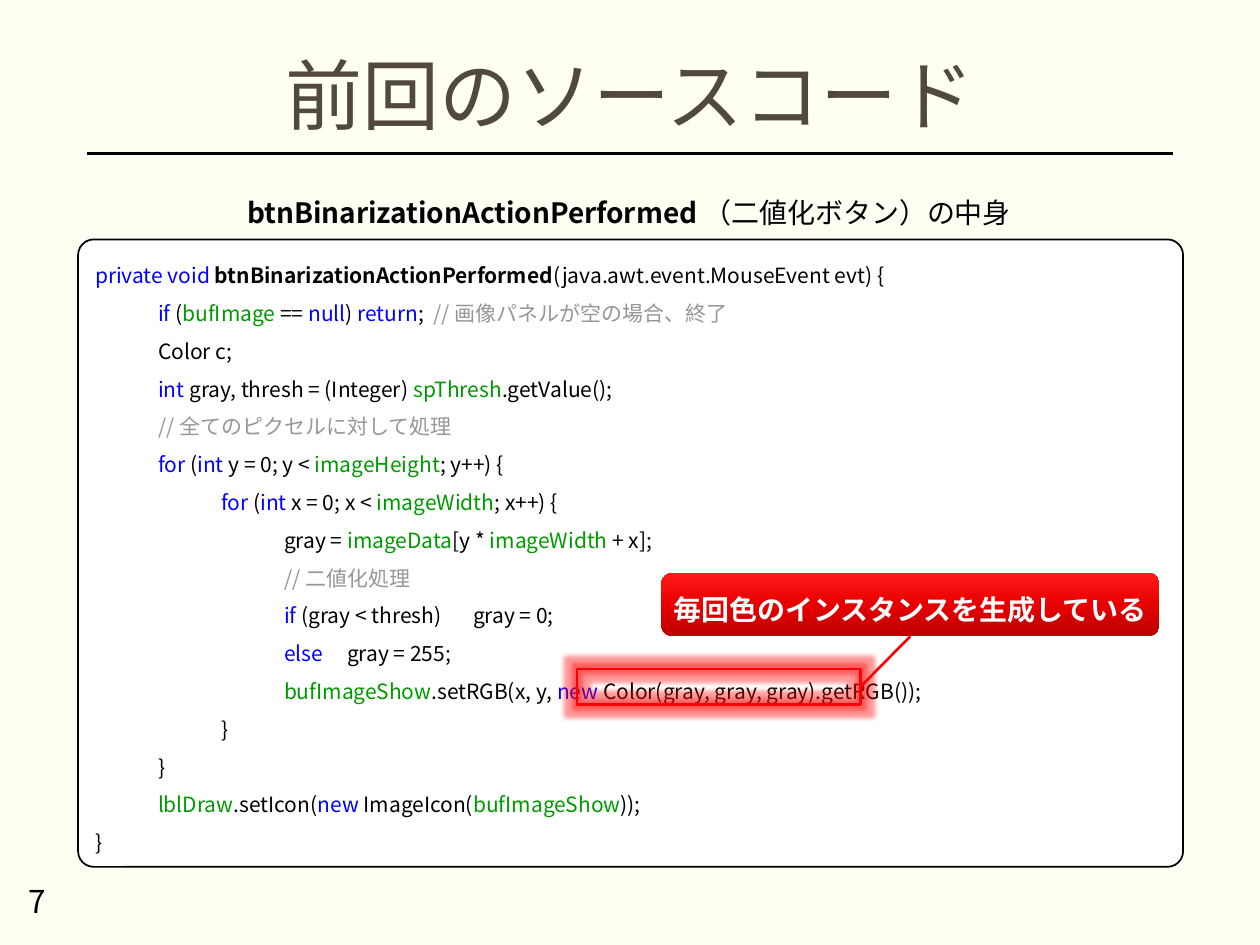
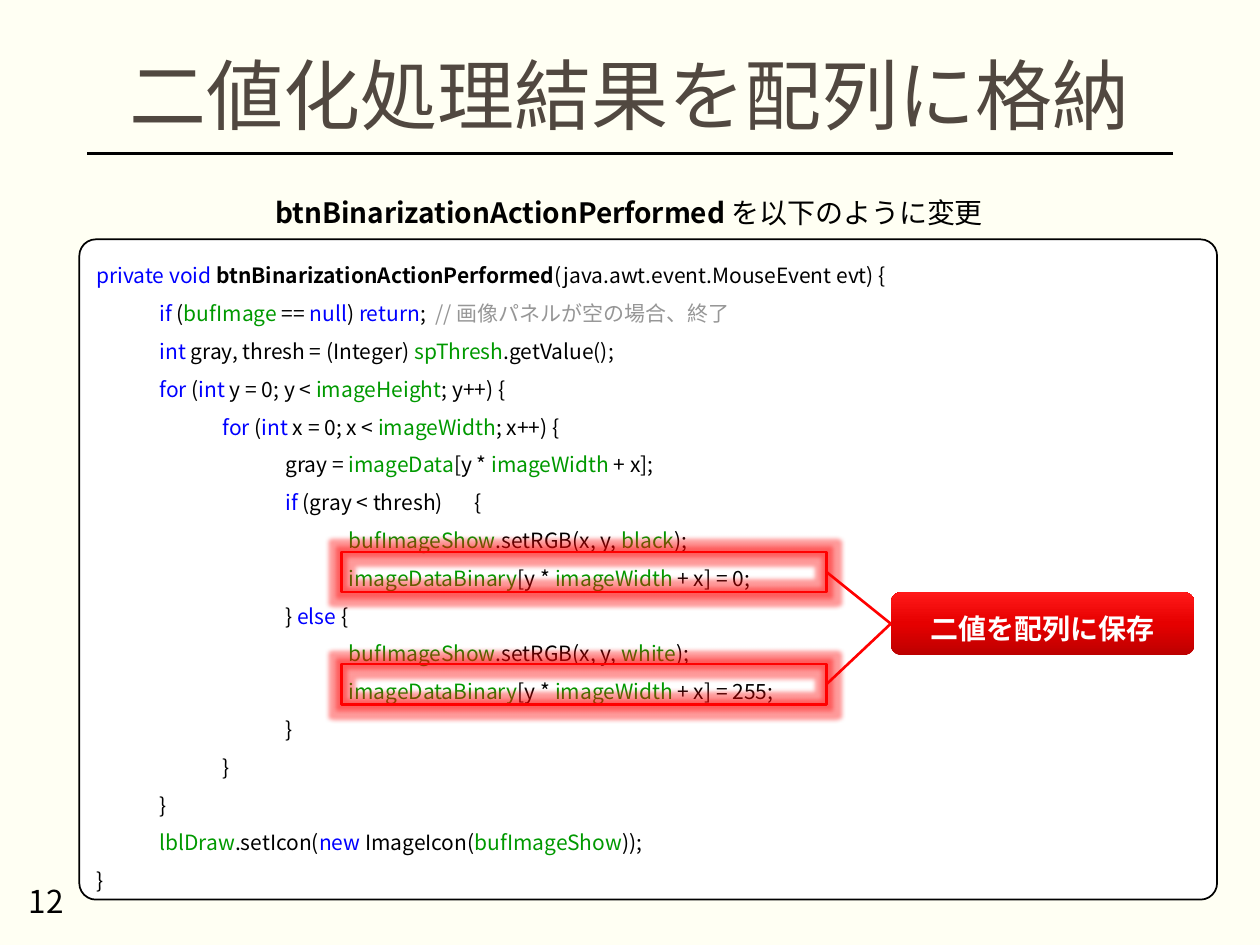
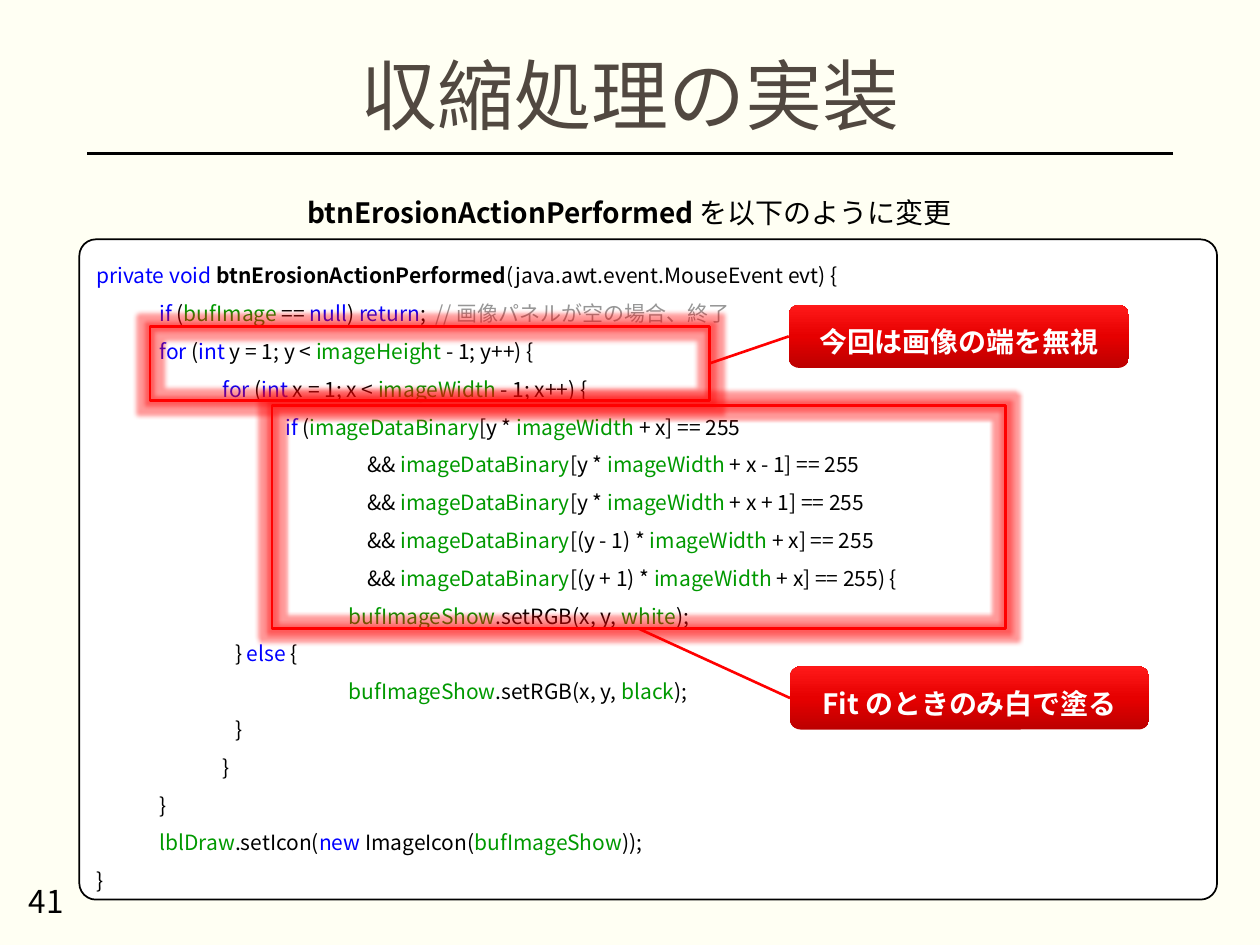
from copy import deepcopy
from itertools import groupby

from lxml import etree
from pptx import Presentation
from pptx import util as u
from pptx.dml.color import RGBColor
from pptx.enum import shapes, text
from pptx.oxml.ns import qn

# Shared look
FONT = "Noto Sans CJK JP"
PAPER, WHITE, BLACK, TITLE = "FFFFF3", "FFFFFF", "000000", "514840"
RED, BLUE, GREEN, GRAY = "FF0000", "0000FF", "009900", "969696"
CALLOUT_STOPS = [(0, "BC0000"), (0.5, "E60000"), (1, "FF1919")]
INDENT = 0.5
TAB_STEP = 1.5
CALLOUT_HEIGHT = 0.5
TOP, LEFT, BOTTOM, RIGHT = 0, 1, 2, 3

# Syntax colours
KEYWORDS = "private void if null return int for else new".split()
FIELDS = ("bufImage bufImageShow spThresh imageHeight imageWidth imageData "
          "imageDataBinary lblDraw black white").split()
TOKEN_COLORS = dict.fromkeys(KEYWORDS, BLUE) | dict.fromkeys(FIELDS, GREEN)

# Code lines as (indent level, text)
GUARD = (1, "if (bufImage == null) return;  // 画像パネルが空の場合、終了")
THRESHOLD = (1, "int gray, thresh = (Integer) spThresh.getValue();")
FULL_LOOP_Y = (1, "for (int y = 0; y < imageHeight; y++) {")
FULL_LOOP_X = (2, "for (int x = 0; x < imageWidth; x++) {")
READ_GRAY = (3, "gray = imageData[y * imageWidth + x];")
PAINT_WHITE = (4, "bufImageShow.setRGB(x, y, white);")
PAINT_BLACK = (4, "bufImageShow.setRGB(x, y, black);")
CLOSING = [(2, "}"), (1, "}"),
           (1, "lblDraw.setIcon(new ImageIcon(bufImageShow));"), (0, "}")]

WIDE_PANEL = (0.63, 1.9, 9.03, 5.24)

# Each callout: text, (left, top, width), side, [(framed area, side)]
SLIDES = [
    dict(title="前回のソースコード", number="7",
         method="btnBinarizationActionPerformed", caption="（二値化ボタン）の中身",
         panel=(0.62, 1.9, 8.77, 4.98),
         code=[(1, "Color c;"), THRESHOLD,
               (1, "// 全てのピクセルに対して処理"),
               FULL_LOOP_Y, FULL_LOOP_X, READ_GRAY,
               (3, "// 二値化処理"),
               (3, "if (gray < thresh)\tgray = 0;"),
               (3, "else\tgray = 255;"),
               (3, "bufImageShow.setRGB(x, y, new Color(gray, gray, gray).getRGB());")],
         callouts=[("毎回色のインスタンスを生成している", (5.25, 4.55, 3.95), BOTTOM,
                    [((4.58, 5.31, 2.25, 0.28), RIGHT)])]),
    dict(title="二値化処理結果を配列に格納", number="12",
         method="btnBinarizationActionPerformed", caption="を以下のように変更",
         panel=WIDE_PANEL,
         code=[THRESHOLD, FULL_LOOP_Y, FULL_LOOP_X, READ_GRAY,
               (3, "if (gray < thresh)\t{"),
               PAINT_BLACK,
               (4, "imageDataBinary[y * imageWidth + x] = 0;"),
               (3, "} else {"),
               PAINT_WHITE,
               (4, "imageDataBinary[y * imageWidth + x] = 255;"),
               (3, "}")],
         callouts=[("二値を配列に保存", (7.07, 4.7, 2.41), LEFT,
                    [((2.71, 4.38, 3.85, 0.32), RIGHT),
                     ((2.71, 5.27, 3.85, 0.32), RIGHT)])]),
    dict(title="収縮処理の実装", number="41",
         method="btnErosionActionPerformed", caption="を以下のように変更",
         panel=WIDE_PANEL,
         code=[(1, "for (int y = 1; y < imageHeight - 1; y++) {"),
               (2, "for (int x = 1; x < imageWidth - 1; x++) {"),
               (3, "if (imageDataBinary[y * imageWidth + x] == 255"),
               (4.3, "&& imageDataBinary[y * imageWidth + x - 1] == 255"),
               (4.3, "&& imageDataBinary[y * imageWidth + x + 1] == 255"),
               (4.3, "&& imageDataBinary[(y - 1) * imageWidth + x] == 255"),
               (4.3, "&& imageDataBinary[(y + 1) * imageWidth + x] == 255) {"),
               PAINT_WHITE,
               (2.2, "} else {"),
               PAINT_BLACK,
               (2.2, "}")],
         callouts=[("今回は画像の端を無視", (6.26, 2.42, 2.7), LEFT,
                    [((1.19, 2.59, 4.44, 0.59), RIGHT)]),
                   ("Fit のときのみ白で塗る", (6.27, 5.29, 2.85), LEFT,
                    [((2.16, 3.22, 5.82, 1.77), BOTTOM)])]),
]


def write(paragraph, content, size=12, color=BLACK, bold=False):
    """Add one formatted run to a paragraph."""
    run = paragraph.add_run()
    run.text = content
    run.font.size = u.Pt(size)
    run.font.bold = bold
    run.font.name = FONT
    run.font.color.rgb = RGBColor.from_string(color)
    etree.SubElement(run.font._element, qn("a:ea"), typeface=FONT)


def paint(shape, line=None, width=1, fill=None):
    """Set line and fill, drop the shadow and return the effect list."""
    if line:
        shape.line.color.rgb = RGBColor.from_string(line)
        shape.line.width = u.Pt(width)
    else:
        shape.line.fill.background()
    if fill:
        shape.fill.solid()
        shape.fill.fore_color.rgb = RGBColor.from_string(fill)
    return etree.SubElement(shape._element.spPr, qn("a:effectLst"))


presentation = Presentation()
presentation.slide_width = u.Inches(10)
presentation.slide_height = u.Inches(7.5)
background = presentation.slide_master.background.fill
background.solid()
background.fore_color.rgb = RGBColor.from_string(PAPER)

for content in SLIDES:
    slide = presentation.slides.add_slide(presentation.slide_layouts[5])

    # Title and rule
    title = slide.shapes.title
    title.left, title.top, title.width, title.height = map(u.Inches, (0.69, 0.36, 8.62, 0.86))
    title.text_frame.auto_size = text.MSO_AUTO_SIZE.NONE
    title.text_frame.vertical_anchor = text.MSO_ANCHOR.MIDDLE
    paragraph = title.text_frame.paragraphs[0]
    paragraph.alignment = text.PP_ALIGN.CENTER
    paragraph.line_spacing = 0.9
    write(paragraph, content["title"], size=44, color=TITLE)
    rule = slide.shapes.add_connector(
        shapes.MSO_CONNECTOR.STRAIGHT, *map(u.Inches, (9.31, 1.22, 0.69, 1.22)))
    paint(rule, line=BLACK, width=2)

    # Code panel
    panel = slide.shapes.add_shape(
        shapes.MSO_SHAPE.ROUNDED_RECTANGLE, *map(u.Inches, content["panel"]))
    panel.adjustments[0] = 0.025
    paint(panel, line=BLACK, fill=WHITE)
    frame = panel.text_frame
    frame.word_wrap = True
    frame.vertical_anchor = text.MSO_ANCHOR.TOP
    signature = (0, f"private void {content['method']}(java.awt.event.MouseEvent evt) {{")
    for index, (level, line) in enumerate([signature, GUARD, *content["code"], *CLOSING]):
        paragraph = frame.add_paragraph() if index else frame.paragraphs[0]
        paragraph.alignment = text.PP_ALIGN.LEFT
        paragraph.line_spacing = 1.5
        properties = paragraph._p.get_or_add_pPr()
        properties.set("marL", str(u.Inches(level * INDENT)))
        properties.set("indent", "0")
        if "\t" in line:
            tabs = etree.SubElement(properties, qn("a:tabLst"))
            for step in (1, 2):
                etree.SubElement(tabs, qn("a:tab"), pos=str(u.Inches(step * TAB_STEP)), algn="l")
        code, slashes, comment = line.partition("//")
        for _, characters in groupby(code, str.isalnum):
            token = "".join(characters)
            write(paragraph, token, color=TOKEN_COLORS.get(token, BLACK),
                  bold=token == content["method"])
        if slashes:
            write(paragraph, slashes + comment, color=GRAY)

    # Slide number and caption
    number = slide.shapes.add_textbox(*map(u.Inches, (0.13, 6.95, 2.25, 0.4)))
    number.text_frame.word_wrap = True
    write(number.text_frame.paragraphs[0], content["number"], size=18)
    caption = slide.shapes.add_textbox(*map(u.Inches, (0.6, 1.5, 8.79, 0.37)))
    caption.text_frame.word_wrap = True
    caption.text_frame.auto_size = text.MSO_AUTO_SIZE.SHAPE_TO_FIT_TEXT
    paragraph = caption.text_frame.paragraphs[0]
    paragraph.alignment = text.PP_ALIGN.CENTER
    write(paragraph, content["method"] + " ", size=16, bold=True)
    write(paragraph, content["caption"], size=16)

    # Callouts with the areas they point at
    for label, place, callout_side, areas in content["callouts"]:
        callout = slide.shapes.add_shape(
            shapes.MSO_SHAPE.ROUNDED_RECTANGLE, *map(u.Inches, (*place, CALLOUT_HEIGHT)))
        paint(callout)
        callout.fill.gradient()
        callout.fill.gradient_angle = 90
        stops = callout._element.spPr.find(".//" + qn("a:gsLst"))
        stops.insert(1, deepcopy(stops[0]))
        for stop, (position, color) in zip(callout.fill.gradient_stops, CALLOUT_STOPS):
            stop.position = position
            stop.color.rgb = RGBColor.from_string(color)
        frame = callout.text_frame
        frame.word_wrap = True
        frame.vertical_anchor = text.MSO_ANCHOR.MIDDLE
        frame.margin_left = frame.margin_right = frame.margin_bottom = 0
        frame.margin_top = u.Inches(0.08)
        frame.paragraphs[0].alignment = text.PP_ALIGN.CENTER
        write(frame.paragraphs[0], label, size=16, color=WHITE, bold=True)

        for area, area_side in areas:
            highlight = slide.shapes.add_shape(
                shapes.MSO_SHAPE.RECTANGLE, *map(u.Inches, area))
            highlight.fill.background()
            effects = paint(highlight, line=RED, width=1.5)
            glow = etree.SubElement(effects, qn("a:glow"), rad=str(u.Pt(5)))
            glow_color = etree.SubElement(glow, qn("a:srgbClr"), val=RED)
            etree.SubElement(glow_color, qn("a:alpha"), val="40000")
            pointer = slide.shapes.add_connector(shapes.MSO_CONNECTOR.STRAIGHT, 0, 0, 0, 0)
            pointer.begin_connect(callout, callout_side)
            pointer.end_connect(highlight, area_side)
            paint(pointer, line=RED, width=1.5)

presentation.save("out.pptx")
